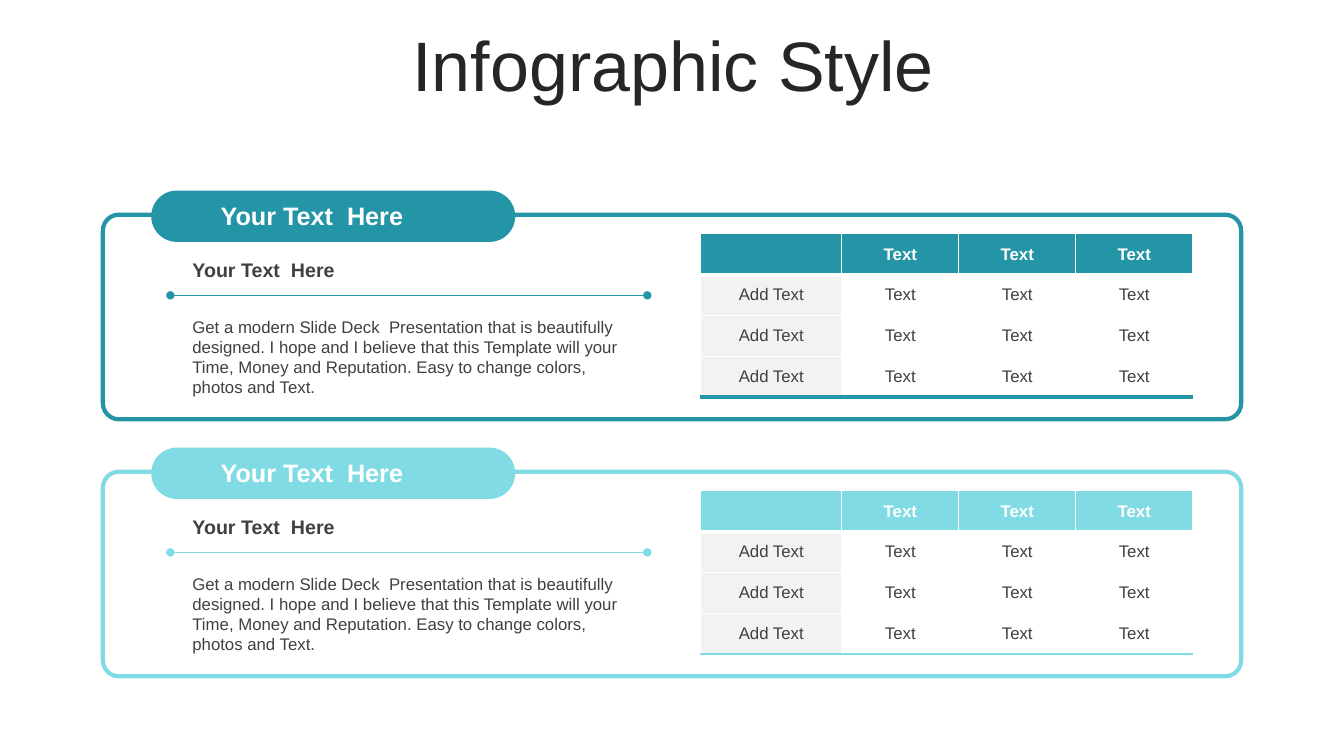
import pptx
import pptx.util
import pptx.dml.color
import pptx.enum.shapes
import pptx.enum.text
import pptx.oxml
import pptx.oxml.ns
import lxml.etree

Inches = pptx.util.Inches
Pt = pptx.util.Pt
RGBColor = pptx.dml.color.RGBColor
Align = pptx.enum.text.PP_ALIGN
Anchor = pptx.enum.text.MSO_ANCHOR
qn = pptx.oxml.ns.qn

TEAL = RGBColor(0x23, 0x95, 0xA6)
AQUA = RGBColor(0x80, 0xDB, 0xE4)
WHITE = RGBColor(0xFF, 0xFF, 0xFF)
PALE = RGBColor(0xF2, 0xF2, 0xF2)
GRAY = RGBColor(0x40, 0x40, 0x40)
INK = RGBColor(0x26, 0x26, 0x26)

HEAD = "Your Text  Here"
BODY = (
    "Get a modern Slide Deck  Presentation that is beautifully designed. "
    "I hope and I believe that this Template will your Time, Money and "
    "Reputation. Easy to change colors, photos and Text."
)
ROWS = [["", "Text", "Text", "Text"]] + [["Add Text", "Text", "Text", "Text"]] * 3
WIDTHS = [1.4, 1.16, 1.16, 1.16]


class Board:
    def __init__(self, slide, face):
        self.slide = slide
        self.face = face

    def style(self, para, size, color, bold=False, align=Align.LEFT):
        para.alignment = align
        font = para.font
        font.name = self.face
        font.size = Pt(size)
        font.bold = bold
        font.color.rgb = color

    def text(self, words, left, top, width, height, size, color,
             bold=False, align=Align.LEFT, anchor=Anchor.TOP):
        box = self.slide.shapes.add_textbox(
            Inches(left), Inches(top), Inches(width), Inches(height))
        frame = box.text_frame
        frame.word_wrap = True
        frame.vertical_anchor = anchor
        para = frame.paragraphs[0]
        para.text = words
        self.style(para, size, color, bold, align)
        return para

    def panel(self, left, top, width, height, round, fill):
        shape = self.slide.shapes.add_shape(
            pptx.enum.shapes.MSO_SHAPE.ROUNDED_RECTANGLE,
            Inches(left), Inches(top), Inches(width), Inches(height))
        shape.shadow.inherit = False
        shape.adjustments[0] = round
        shape.fill.solid()
        shape.fill.fore_color.rgb = fill
        shape.line.fill.background()
        return shape

    def frame(self, left, top, width, height, color):
        shape = self.panel(left, top, width, height, 0.078, WHITE)
        shape.line.color.rgb = color
        shape.line.width = Pt(3)
        tint = shape.fill._xPr.find(qn("a:solidFill"))[0]
        lxml.etree.SubElement(tint, qn("a:alpha"), val="50000")

    def rule(self, left, right, top, color):
        line = self.slide.shapes.add_connector(
            pptx.enum.shapes.MSO_CONNECTOR.STRAIGHT,
            Inches(left), Inches(top), Inches(right), Inches(top))
        line.line.color.rgb = color
        line.line.width = Pt(1)
        for end in ("a:headEnd", "a:tailEnd"):
            lxml.etree.SubElement(line.line._ln, qn(end), type="oval")
        lxml.etree.SubElement(line._element.spPr, qn("a:effectLst"))

    def edge(self, cell, base, width):
        props = cell._tc.get_or_add_tcPr()
        for spot, side in enumerate("LRTB"):
            color, points = (base, width) if side == "B" else (WHITE, 1)
            line = lxml.etree.Element(qn("a:ln" + side), w=str(Pt(points)))
            fill = lxml.etree.SubElement(line, qn("a:solidFill"))
            lxml.etree.SubElement(fill, qn("a:srgbClr"), val=str(color))
            props.insert(spot, line)

    def table(self, left, top, color, base):
        grid = self.slide.shapes.add_table(
            len(ROWS), len(WIDTHS), Inches(left), Inches(top),
            Inches(sum(WIDTHS)), Inches(1.62)).table
        for col, width in zip(grid.columns, WIDTHS):
            col.width = Inches(width)
        last = len(ROWS) - 1
        for r, row in enumerate(ROWS):
            for c, words in enumerate(row):
                cell = grid.cell(r, c)
                cell.text = words
                cell.vertical_anchor = Anchor.MIDDLE
                top_row = r == 0
                self.style(cell.text_frame.paragraphs[0], 12,
                           WHITE if top_row else GRAY, top_row, Align.CENTER)
                cell.fill.solid()
                cell.fill.fore_color.rgb = (
                    color if top_row else PALE if c == 0 else WHITE)
                if r == last:
                    self.edge(cell, color, base)
                else:
                    self.edge(cell, WHITE, 3 if top_row else 1)

    def card(self, top, color, base):
        self.frame(1.02, top, 11.29, 2.03, color)
        self.table(6.95, top + 0.19, color, base)
        self.panel(1.5, top - 0.24, 3.61, 0.51, 0.5, color)
        self.rule(1.69, 6.42, top + 0.8, color)
        self.text(BODY, 1.81, top + 0.96, 4.57, 0.91, 12, GRAY)
        self.text(HEAD, 1.81, top + 0.38, 2.68, 0.34, 14, GRAY, True)
        self.text(HEAD, 2.09, top - 0.19, 2.44, 0.4, 18, WHITE, True)


def main():
    deck = pptx.Presentation()
    deck.slide_width = Inches(13.33)
    deck.slide_height = Inches(7.5)
    board = Board(deck.slides.add_slide(deck.slide_layouts[6]), "Arial")
    title = board.text("Infographic Style", 0.35, 0.31, 12.66, 0.79, 50, INK,
                       align=Align.CENTER, anchor=Anchor.MIDDLE)
    title.line_spacing = 0.8
    title.space_before = Pt(10)
    for top, color, base in ((2.13, TEAL, 3), (4.68, AQUA, 2.25)):
        board.card(top, color, base)
    deck.save("out.pptx")


if __name__ == "__main__":
    main()
